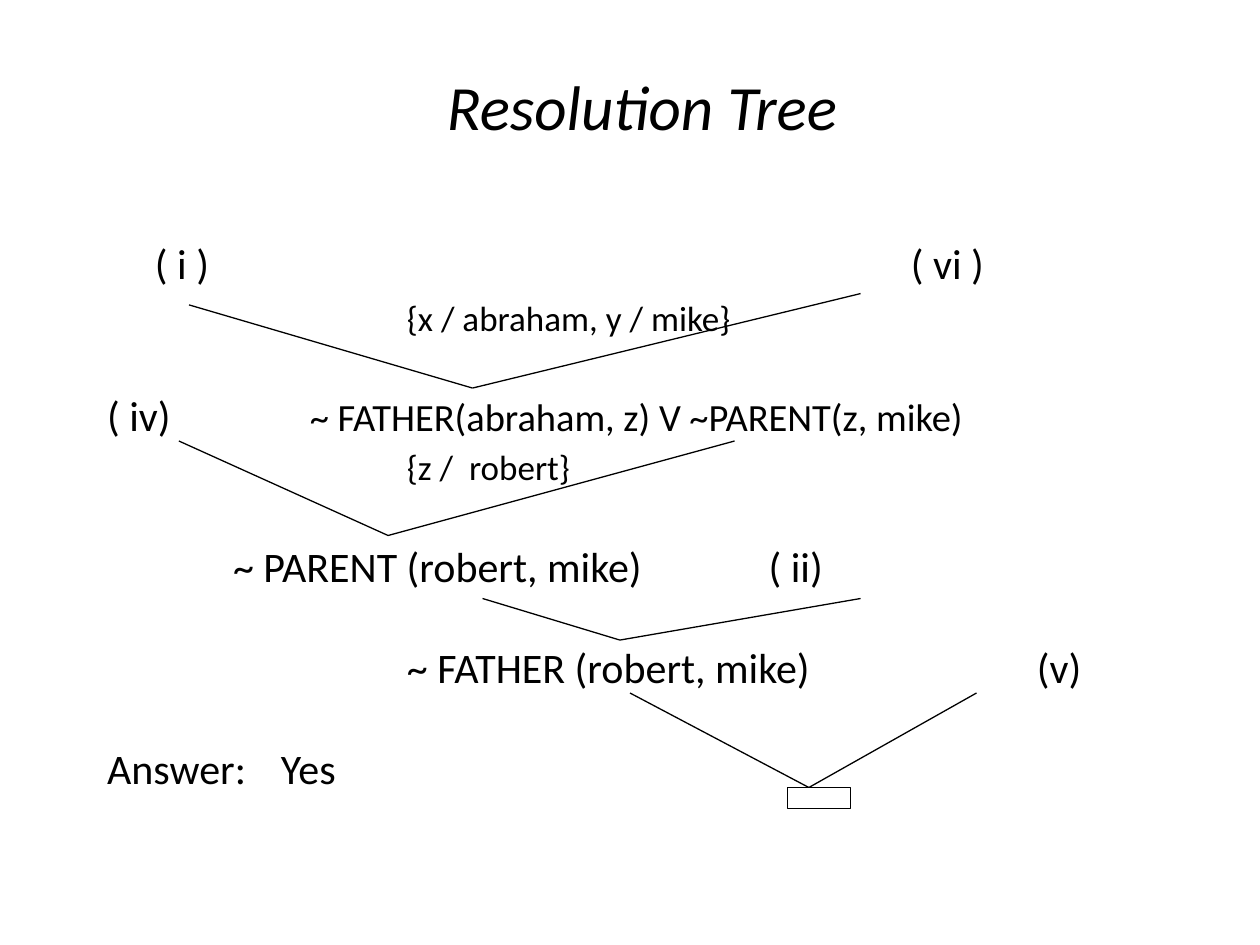
"""Build a slide showing a resolution tree."""
from dataclasses import dataclass

from lxml.etree import SubElement
from pptx import Presentation
from pptx.dml.color import RGBColor
from pptx.enum.shapes import MSO_CONNECTOR, MSO_SHAPE
from pptx.enum.text import MSO_ANCHOR, MSO_AUTO_SIZE, PP_ALIGN
from pptx.oxml.ns import qn
from pptx.util import Inches, Pt

COLORS = {"ink": "000000", "paper": "FFFFFF"}
FONT = "Calibri"
LINE_WIDTH = 0.75
Point = tuple[float, float]


@dataclass
class Row:
    runs: list[tuple[str, int]]
    before: float
    margin: float = 0.38
    indent: float = -0.38
    tab: float = 1


@dataclass
class Fork:
    left: Point
    right: Point
    tip: Point


ROWS = [
    Row([("\t", 32), ("( i )\t\t\t\t\t\t( vi )", 24)], 6.5),
    Row([("\t\t\t", 24), ("{x / abraham, y / mike}", 20)], 5),
    Row([("( iv)\t", 24), ("~ FATHER(abraham, z) V ~PARENT(z, mike)", 22)], 34, tab=1.23),
    Row([("\t\t\t", 24), ("{z /  robert}", 20)], 5),
    Row([("~ PARENT (robert, mike)\t\t( ii)", 24)], 35, margin=1.25, indent=-0.25),
    Row([("\t\t\t~ FATHER (robert, mike)\t\t(v)", 24)], 35),
    Row([("Answer:\tYes", 24)], 34.5),
]
FORKS = [
    Fork((1.5, 2.42), (6.83, 2.33), (3.75, 3.08)),
    Fork((1.42, 3.5), (5.83, 3.5), (3.08, 4.25)),
    Fork((3.83, 4.75), (6.83, 4.75), (4.92, 5.08)),
    Fork((5, 5.5), (7.75, 5.5), (6.42, 6.25)),
]


def color(name: str) -> RGBColor:
    return RGBColor.from_string(COLORS[name])


def place(sp, left: float, top: float, width: float, height: float) -> None:
    sp.left, sp.top = Inches(left), Inches(top)
    sp.width, sp.height = Inches(width), Inches(height)
    sp.text_frame.auto_size = MSO_AUTO_SIZE.NONE


def format_run(r, size: int) -> None:
    r.font.name = FONT
    r.font.size = Pt(size)
    r.font.color.rgb = color("ink")


def draw_line(slide, start: Point, end: Point) -> None:
    line = slide.shapes.add_connector(
        MSO_CONNECTOR.STRAIGHT, *map(Inches, (*start, *end)))
    line.line.color.rgb = color("ink")
    line.line.width = Pt(LINE_WIDTH)
    SubElement(line._element.spPr, qn("a:effectLst"))


def draw_fork(slide, fork: Fork) -> None:
    for start in (fork.left, fork.right):
        draw_line(slide, start, fork.tip)


def write_row(p, row: Row) -> None:
    for text, size in row.runs:
        r = p.add_run()
        r.text = text
        format_run(r, size)
    p.line_spacing = 0.8
    p.space_before = Pt(row.before)
    props = p._p.get_or_add_pPr()
    lengths = {"marL": row.margin, "indent": row.indent, "defTabSz": row.tab}
    for name, length in lengths.items():
        props.set(name, str(Inches(length)))
    SubElement(props, qn("a:buNone"))


def main() -> None:
    prs = Presentation()
    prs.slide_width, prs.slide_height = Inches(10), Inches(7.5)
    slide = prs.slides.add_slide(prs.slide_layouts[1])

    title = slide.shapes.title
    place(title, 0.92, 0.42, 8.35, 0.83)
    tf = title.text_frame
    tf.text = "Resolution Tree"
    tf.vertical_anchor = MSO_ANCHOR.MIDDLE
    p = tf.paragraphs[0]
    p.alignment = PP_ALIGN.CENTER
    format_run(p.runs[0], 36)
    p.runs[0].font.italic = True

    body = slide.placeholders[1]
    place(body, 0.75, 1.83, 8.5, 4.83)
    tf = body.text_frame
    for i, row in enumerate(ROWS):
        write_row(tf.add_paragraph() if i else tf.paragraphs[0], row)

    for fork in FORKS:
        draw_fork(slide, fork)

    box = slide.shapes.add_shape(
        MSO_SHAPE.RECTANGLE, *map(Inches, (6.25, 6.25, 0.5, 0.17)))
    box.shadow.inherit = False
    box.fill.solid()
    box.fill.fore_color.rgb = color("paper")
    box.line.color.rgb = color("ink")
    box.line.width = Pt(LINE_WIDTH)

    prs.save("out.pptx")


if __name__ == "__main__":
    main()
